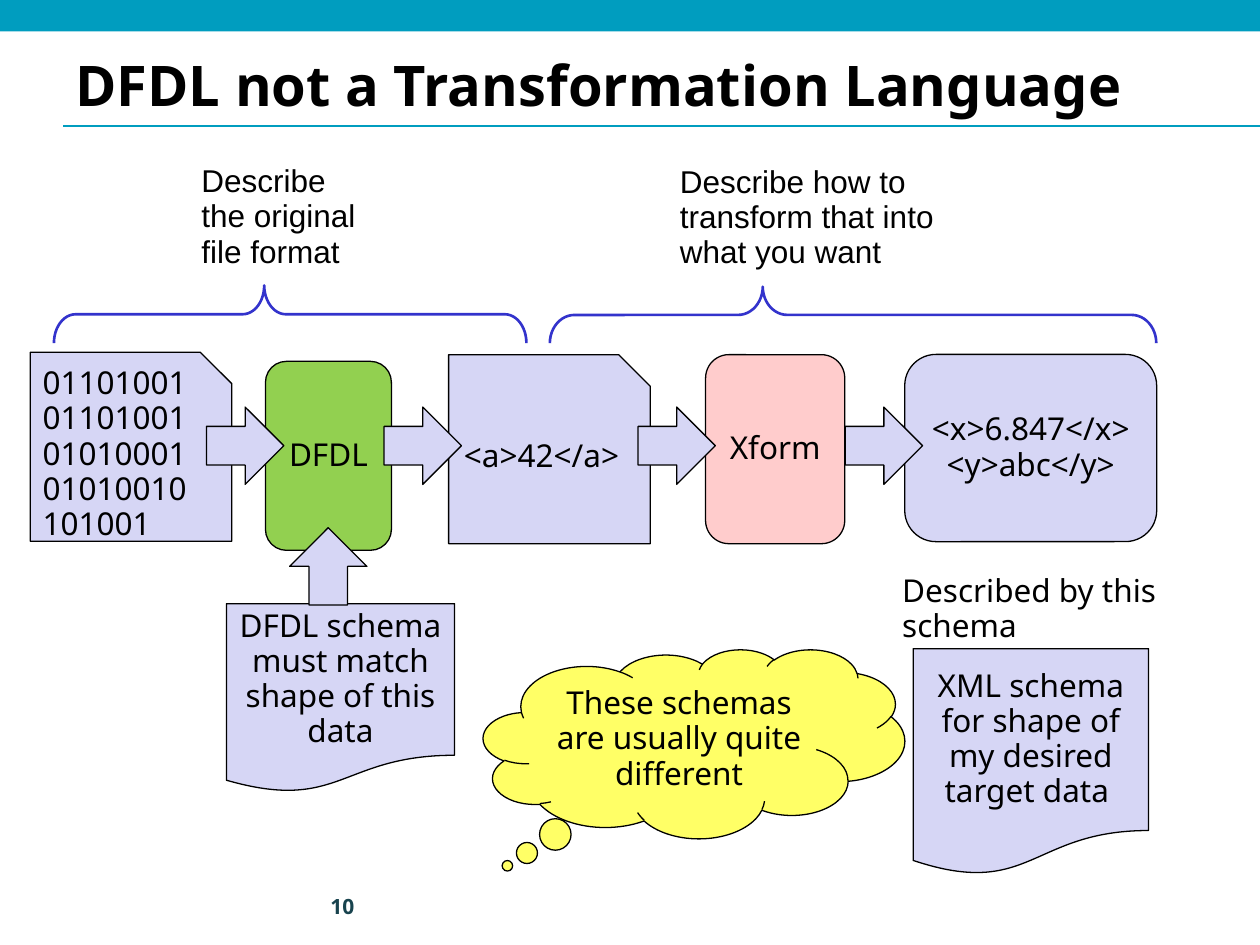
from lxml.etree import SubElement
from pptx import Presentation
from pptx.dml.color import RGBColor
from pptx.enum.shapes import MSO_CONNECTOR, MSO_SHAPE
from pptx.enum.text import MSO_ANCHOR, PP_ALIGN
from pptx.oxml.ns import qn
from pptx.util import Pt

TEAL, LAVENDER, GREEN, PINK, YELLOW, BLUE, BLACK = (
    "009DBF", "D6D6F5", "92D050", "FFCCCC", "FFFF66", "3333CC", "000000")
LEFT, CENTER, RIGHT = PP_ALIGN.LEFT, PP_ALIGN.CENTER, PP_ALIGN.RIGHT
ROUND, SNIP, DOC = (MSO_SHAPE.ROUNDED_RECTANGLE, MSO_SHAPE.SNIP_1_RECTANGLE,
                    MSO_SHAPE.FLOWCHART_DOCUMENT)

LABELS = [
    ("DFDL not a Transformation Language", (36, 27.5, 648, 44),
     dict(size=32, bold=True, spacing=0.98, anchor=MSO_ANCHOR.MIDDLE)),
    ("10", (165.6, 503.3, 44, 28.8),
     dict(size=12, bold=True, color="18434E", align=RIGHT, spacing=1, anchor=MSO_ANCHOR.MIDDLE)),
    ("Described by this\nschema", (508.5, 324.7, 161.3, 47.5), dict(wrap=False)),
    ("Describe how to transform that into what you want", (381.4, 91, 190.8, 68.4),
     dict(font="Arial")),
    ("Describe the original file format", (108, 90.5, 108, 88.6), dict(font="Arial")),
]
BOXES = [
    (ROUND, "<x>6.847</x>\n<y>abc</y>", (517, 202.5, 144, 107), LAVENDER, CENTER),
    (SNIP, "01101001011010010101000101010010101001", (17.3, 201.3, 115.2, 108), LAVENDER, LEFT),
    (DOC, "DFDL schema must match shape of this data", (129.4, 345, 130.4, 108), LAVENDER, CENTER),
    (ROUND, "DFDL", (151.7, 206.5, 72, 108), GREEN, CENTER),
    (DOC, "XML schema for shape of my desired target data ", (521.8, 370.7, 134.5, 129.6),
     LAVENDER, CENTER),
    (SNIP, "<a>42</a>", (256.4, 202.7, 115.2, 108), LAVENDER, CENTER),
    (ROUND, "Xform", (403.2, 202.7, 79.5, 108), PINK, CENTER),
]
CLOUD = ("These schemas are usually quite different", (276.2, 371, 240.8, 108), (-0.443, 0.646))
ARROW_SIZE = 44.2
FLOW_LEFTS, FLOW_TOP = (118, 219.5, 364.6, 483), 232.6
SCHEMA_ARROW = (165.5, 301.5)
BRACES = [
    ((149.3, 44.6, 33, 270), (0.374, 0.555)),
    ((471.3, 6.7, 32.3, 346.5), (0.436, 0.649)),
]


def rgb(color):
    """Turn a hex string into a colour."""
    return RGBColor.from_string(color)


def write(sp, text, size=18, font="Noto Sans", color=BLACK, bold=False, align=LEFT,
          spacing=0.93, anchor=MSO_ANCHOR.TOP, wrap=True):
    """Fill a shape with text, one paragraph per line."""
    tf = sp.text_frame
    tf.word_wrap = wrap
    tf.vertical_anchor = anchor
    for i, line in enumerate(text.split("\n")):
        p = tf.add_paragraph() if i else tf.paragraphs[0]
        p.alignment, p.line_spacing = align, spacing
        r = p.add_run()
        r.text = line
        r.font.size, r.font.name, r.font.bold = Pt(size), font, bold
        r.font.color.rgb = rgb(color)


def add_shape(s, kind, box, fill=None, line=BLACK, width=0.75, adjust=(), rotation=0):
    """Add a preset shape without a shadow."""
    sp = s.shapes.add_shape(kind, *map(Pt, box))
    sp.shadow.inherit = False
    sp.rotation = rotation
    for i, value in enumerate(adjust):
        sp.adjustments[i] = value
    if fill:
        sp.fill.solid()
        sp.fill.fore_color.rgb = rgb(fill)
    else:
        sp.fill.background()
    if line:
        sp.line.color.rgb = rgb(line)
        sp.line.width = Pt(width)
    else:
        sp.line.fill.background()
    return sp


def add_rule(s, x1, y1, x2, y2):
    """Draw the thin line under the title."""
    cx = s.shapes.add_connector(MSO_CONNECTOR.STRAIGHT, *map(Pt, (x1, y1, x2, y2)))
    cx.line.color.rgb = rgb(TEAL)
    cx.line.width = Pt(0.75)
    SubElement(cx._element.spPr, qn("a:effectLst"))


def main():
    """Build the slide and save it."""
    prs = Presentation()
    prs.slide_width, prs.slide_height = Pt(720), Pt(540)
    s = prs.slides.add_slide(prs.slide_layouts[6])
    add_rule(s, 36, 72, 720, 72)
    add_shape(s, MSO_SHAPE.RECTANGLE, (0, 0, 720, 18), TEAL, line=None)
    for text, box, style in LABELS:
        write(s.shapes.add_textbox(*map(Pt, box)), text, **style)
    for kind, text, box, fill, align in BOXES:
        write(add_shape(s, kind, box, fill), text, align=align, anchor=MSO_ANCHOR.MIDDLE)
    arrows = [(x, FLOW_TOP, 0) for x in FLOW_LEFTS] + [(*SCHEMA_ARROW, 270)]
    for x, y, rotation in arrows:
        add_shape(s, MSO_SHAPE.RIGHT_ARROW, (x, y, ARROW_SIZE, ARROW_SIZE), LAVENDER,
                  rotation=rotation)
    text, box, adjust = CLOUD
    cloud = add_shape(s, MSO_SHAPE.CLOUD_CALLOUT, box, YELLOW, adjust=adjust)
    write(cloud, text, align=CENTER, anchor=MSO_ANCHOR.MIDDLE)
    for box, adjust in BRACES:
        add_shape(s, MSO_SHAPE.LEFT_BRACE, box, line=BLUE, width=1.5, adjust=adjust, rotation=90)
    prs.save("out.pptx")


if __name__ == "__main__":
    main()
